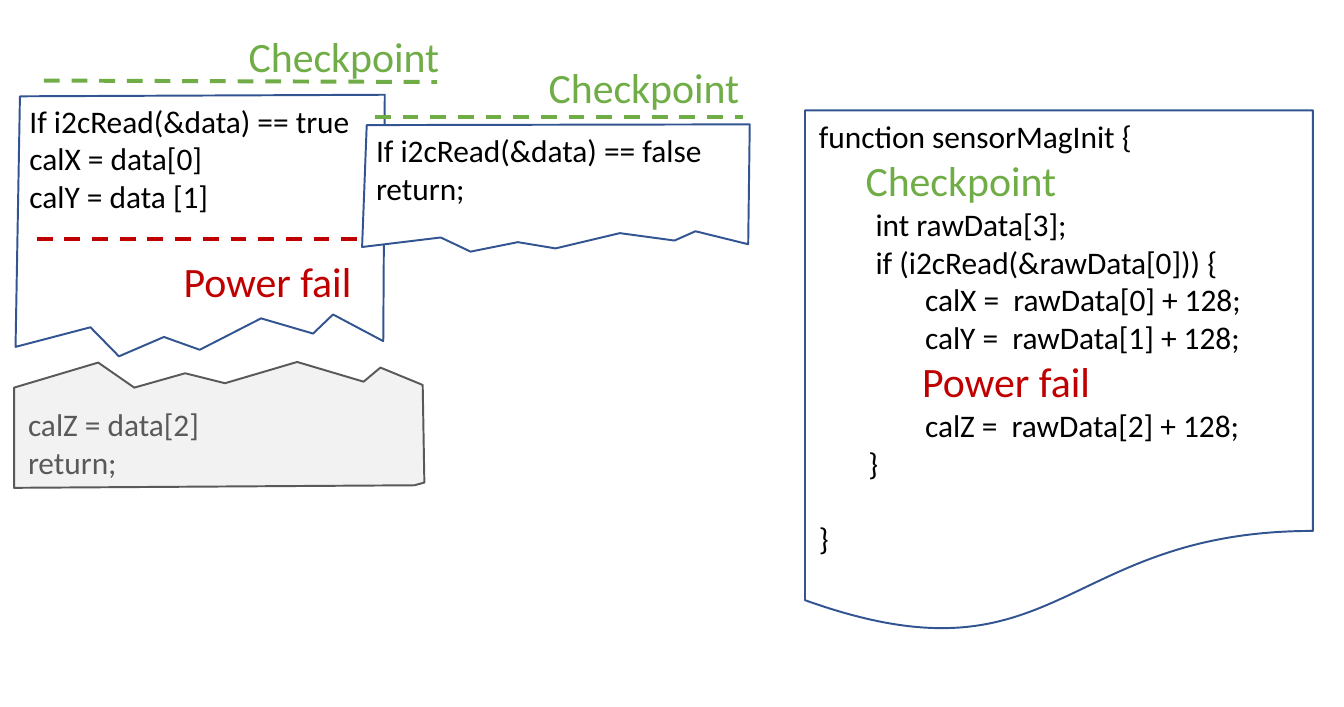
from lxml import etree
from pptx import Presentation
from pptx.dml.color import RGBColor
from pptx.enum.dml import MSO_LINE
from pptx.enum.shapes import MSO_CONNECTOR, MSO_SHAPE
from pptx.enum.text import MSO_ANCHOR, PP_ALIGN
from pptx.oxml.ns import qn
from pptx.util import Inches, Pt

DASH = MSO_LINE.DASH
STRAIGHT = MSO_CONNECTOR.STRAIGHT
DOCUMENT = MSO_SHAPE.FLOWCHART_DOCUMENT
TOP, BOTTOM = MSO_ANCHOR.TOP, MSO_ANCHOR.BOTTOM
LEFT = PP_ALIGN.LEFT

# Grid of 95 columns by 50 rows
COLUMNS, ROWS = 95, 50
WIDTH, HEIGHT = Inches(9.5), Inches(5)

FONT = "Calibri"
CODE_SIZE, LABEL_SIZE = 16, 21.3
BLACK, WHITE, BLUE = "000000", "FFFFFF", "325491"
GREEN, RED, GRAY, PALE = "70AD47", "C00000", "595959", "F2F2F2"

# Outlines in thousandths of their box
TORN_BOTTOM = [(0, 964), (12, 6), (1000, 0), (996, 942), (860, 840), (806, 913),
               (665, 855), (499, 975), (402, 926), (280, 1000), (203, 889)]
TORN_TOP = [(0, 204), (0, 1000), (976, 980), (1000, 958), (996, 183), (893, 45),
            (852, 157), (690, 0), (514, 169), (417, 90), (293, 204), (205, 5)]


def color(value):
    return RGBColor.from_string(value)


def place(box):
    """Turn grid columns and rows into lengths on the slide."""
    left, top, width, height = box
    return (int(WIDTH * left / COLUMNS), int(HEIGHT * top / ROWS),
            int(WIDTH * width / COLUMNS), int(HEIGHT * height / ROWS))


def write(shape, lines, anchor=TOP):
    """Write lines of (text, size, colour, indent in inches, space before)."""
    frame = shape.text_frame
    frame.word_wrap = True
    frame.vertical_anchor = anchor
    for index, (text, size, ink, indent, space) in enumerate(lines):
        paragraph = frame.paragraphs[0] if index == 0 else frame.add_paragraph()
        paragraph.alignment = LEFT
        if space:
            paragraph.space_before = Pt(space)
        if indent:
            paragraph._p.get_or_add_pPr().set("marL", str(Inches(indent)))
        run = paragraph.add_run()
        run.text = text
        for name, value in {"name": FONT, "size": Pt(size)}.items():
            setattr(run.font, name, value)
        run.font.color.rgb = color(ink)


def paint(shape, fill, line):
    shape.shadow.inherit = False
    shape.fill.solid()
    shape.fill.fore_color.rgb = color(fill)
    shape.line.color.rgb = color(line)
    shape.line.width = Pt(1)


def code(text, indent=0, space=0, ink=BLACK):
    return text, CODE_SIZE, ink, indent, space


def label(text, ink, indent=0):
    return text, LABEL_SIZE, ink, indent, 0


def torn_page(slide, box, outline, lines, fill=WHITE, line=BLUE, anchor=TOP):
    left, top, width, height = place(box)
    builder = slide.shapes.build_freeform(
        *outline[0], scale=(width / 1000, height / 1000))
    builder.add_line_segments(outline[1:], close=True)
    shape = builder.convert_to_shape(left, top)
    paint(shape, fill, line)
    write(shape, lines, anchor)


def dashed_line(slide, box, ink):
    left, top, width, height = place(box)
    line = slide.shapes.add_connector(
        STRAIGHT, left, top, left + width, top + height)
    for name, value in {"width": Pt(2), "dash_style": DASH}.items():
        setattr(line.line, name, value)
    line.line.color.rgb = color(ink)
    etree.SubElement(line._element.spPr, qn("a:effectLst"))


def marker_label(slide, left, top, text, ink):
    shape = slide.shapes.add_textbox(*place((left, top, 17.3, 4.6)))
    write(shape, [label(text, ink)])


def function_page(slide, box):
    shape = slide.shapes.add_shape(DOCUMENT, *place(box))
    paint(shape, WHITE, BLUE)
    write(shape, [
        code("function sensorMagInit {"),
        label("Checkpoint", GREEN, 0.33),
        code("int rawData[3];", 0.4),
        code("if (i2cRead(&rawData[0])) {", 0.4),
        code("calX =  rawData[0] + 128;", 0.75),
        code("calY =  rawData[1] + 128;", 0.75),
        label("Power fail", RED, 0.73),
        code("calZ =  rawData[2] + 128;", 0.75),
        code("}", 0.35),
        code("}", space=19),
    ])


def torn_pages(slide):
    # Branch that succeeds, cut by the power failure
    torn_page(slide, (1.1, 6.7, 26.1, 18.5), TORN_BOTTOM, [
        code("If i2cRead(&data) == true"),
        code("calX = data[0]"),
        code("calY = data [1]")])
    dashed_line(slide, (2.6, 16.9, 24.4, 0), RED)

    # Branch that fails
    torn_page(slide, (25.6, 8.8, 27.4, 9), TORN_BOTTOM, [
        code("If i2cRead(&data) == false"),
        code("return;")])

    # Checkpoints and power failure
    dashed_line(slide, (3.1, 5.7, 27.8, 0.1), GREEN)
    dashed_line(slide, (26.5, 8.3, 26, 0), GREEN)
    marker_label(slide, 12, 17.6, "Power fail", RED)
    marker_label(slide, 16.6, 1.7, "Checkpoint", GREEN)
    marker_label(slide, 37.8, 3.9, "Checkpoint", GREEN)

    # Remainder that never runs
    torn_page(slide, (1, 25.6, 29, 8.9), TORN_TOP, [
        code("calZ = data[2]", ink=GRAY),
        code("return;", ink=GRAY)], PALE, GRAY, BOTTOM)


def main():
    presentation = Presentation()
    presentation.slide_width, presentation.slide_height = WIDTH, HEIGHT
    slide = presentation.slides.add_slide(presentation.slide_layouts[6])
    torn_pages(slide)
    function_page(slide, (56.9, 7.8, 35.9, 37.1))
    presentation.save("out.pptx")


if __name__ == "__main__":
    main()
